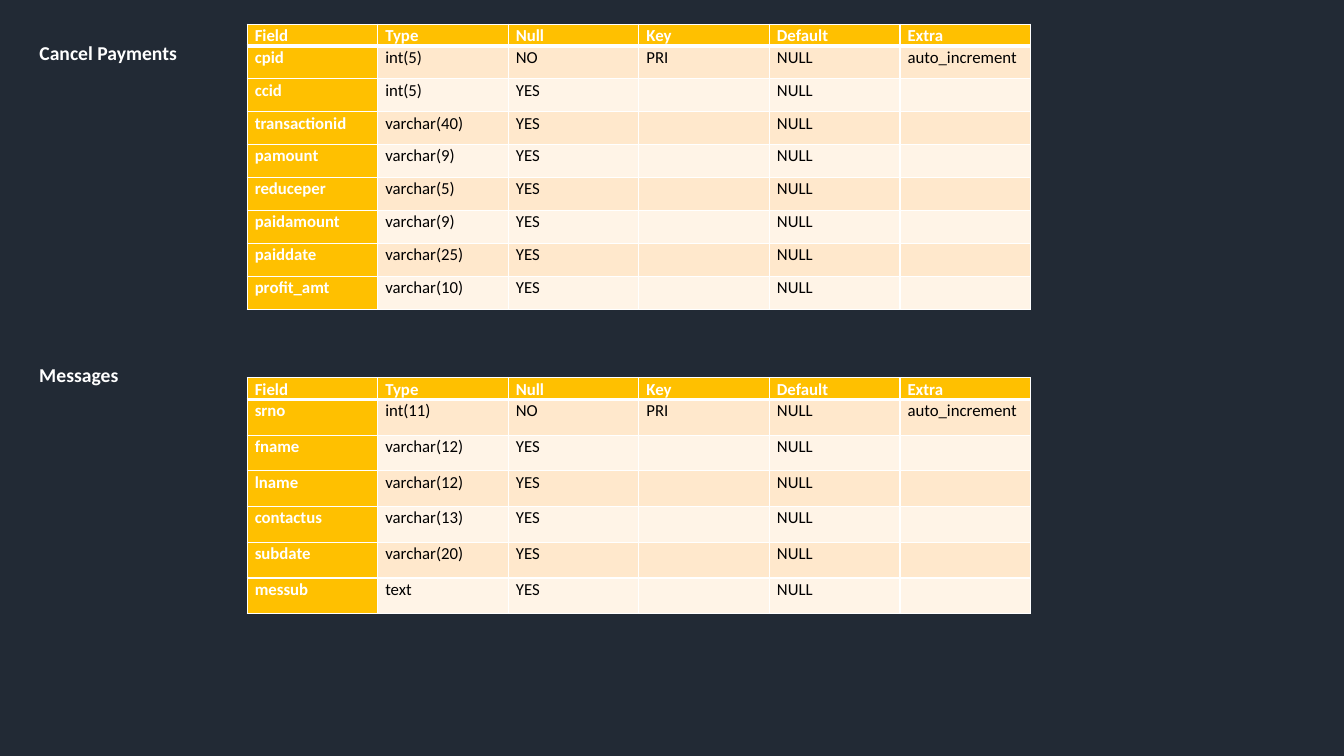
import lxml.etree
import pptx
import pptx.dml.color
import pptx.enum.text
import pptx.oxml.ns
import pptx.util

Cm = pptx.util.Cm
Pt = pptx.util.Pt
qn = pptx.oxml.ns.qn

FONT = "Calibri"
WHITE, BLACK, NAVY = "FFFFFF", "000000", "222A35"
AMBER, BAND_DARK, BAND_LIGHT = "FFC000", "FFE8CC", "FFF4E7"

HEADINGS = ["Field", "Type", "Null", "Key", "Default", "Extra"]
PAYMENT_FIELDS = [
    ("cpid", "int(5)"), ("ccid", "int(5)"), ("transactionid", "varchar(40)"),
    ("pamount", "varchar(9)"), ("reduceper", "varchar(5)"),
    ("paidamount", "varchar(9)"), ("paiddate", "varchar(25)"),
    ("profit_amt", "varchar(10)"),
]
MESSAGE_FIELDS = [
    ("srno", "int(11)"), ("fname", "varchar(12)"), ("lname", "varchar(12)"),
    ("contactus", "varchar(13)"), ("subdate", "varchar(20)"), ("messub", "text"),
]


def rgb(value):
    return pptx.dml.color.RGBColor.from_string(value)


def add_run(paragraph, text, size, color, bold):
    run = paragraph.add_run()
    run.text = text
    run.font.name = FONT
    run.font.size = Pt(size)
    run.font.bold = bold
    run.font.color.rgb = rgb(color)


def set_borders(cell, top, bottom):
    """Draw white cell borders; top and bottom are widths in points."""
    properties = cell._tc.get_or_add_tcPr()
    for side, width in (("L", 1), ("R", 1), ("T", top), ("B", bottom)):
        line = lxml.etree.SubElement(properties, qn(f"a:ln{side}"), w=str(Pt(width)))
        fill = lxml.etree.SubElement(line, qn("a:solidFill"))
        lxml.etree.SubElement(fill, qn("a:srgbClr"), val=WHITE)


def format_cell(cell, text, row, column):
    is_header = row == 0
    is_heading = is_header or column == 0
    set_borders(cell, top=3 if row == 1 else 1, bottom=3 if is_header else 1)
    cell.fill.solid()
    band = BAND_DARK if row % 2 else BAND_LIGHT
    cell.fill.fore_color.rgb = rgb(AMBER if is_heading else band)
    cell.margin_left = cell.margin_right = Cm(0.19)
    cell.margin_top = cell.margin_bottom = 0

    paragraph = cell.text_frame.paragraphs[0]
    paragraph.line_spacing = 1.07
    paragraph.space_after = Pt(8 if is_header else 9)
    if text:
        add_run(paragraph, text, 12, WHITE if is_heading else BLACK, is_heading)
    else:
        # Keep empty cells from stretching their row
        lxml.etree.SubElement(paragraph._p, qn("a:endParaRPr"), sz="1200")


def schema_rows(fields):
    """The first field is the primary key, the others are nullable."""
    key, *others = fields
    return [HEADINGS, [*key, "NO", "PRI", "NULL", "auto_increment"],
            *([*field, "YES", "", "NULL", ""] for field in others)]


def add_schema(slide, fields, top, header_height, row_height):
    rows = schema_rows(fields)
    schema = slide.shapes.add_table(
        len(rows), len(HEADINGS), Cm(6.23), Cm(top), Cm(19.74),
        Cm(header_height + row_height * len(fields))).table
    schema.first_col = True
    for column in schema.columns:
        column.width = Cm(3.29)
    for r, values in enumerate(rows):
        schema.rows[r].height = Cm(row_height if r else header_height)
        for c, text in enumerate(values):
            format_cell(schema.cell(r, c), text, r, c)


def write_label(label, text, top, anchor):
    label.left, label.top = Cm(0.74), Cm(top)
    label.width, label.height = Cm(4.56), Cm(0.86)
    frame = label.text_frame
    frame.word_wrap = True
    frame.auto_size = pptx.enum.text.MSO_AUTO_SIZE.SHAPE_TO_FIT_TEXT
    frame.vertical_anchor = anchor
    paragraph = frame.paragraphs[0]
    paragraph.alignment = pptx.enum.text.PP_ALIGN.LEFT
    add_run(paragraph, text, 14, WHITE, True)
    return paragraph


def main():
    deck = pptx.Presentation()
    deck.slide_width, deck.slide_height = Cm(33.87), Cm(19.05)
    slide = deck.slides.add_slide(deck.slide_layouts[5])
    slide.background.fill.solid()
    slide.background.fill.fore_color.rgb = rgb(NAVY)
    anchors = pptx.enum.text.MSO_ANCHOR

    # Cancel Payments
    write_label(slide.shapes.title, "Cancel Payments", 0.9, anchors.MIDDLE)
    add_schema(slide, PAYMENT_FIELDS, top=0.61, header_height=0.46, row_height=0.83)

    # Messages
    messages_label = slide.shapes.add_textbox(0, 0, Cm(4.56), Cm(0.86))
    messages = write_label(messages_label, "Messages", 8.99, anchors.TOP)
    messages.line_spacing = 1.07
    messages.space_after = Pt(8)
    add_schema(slide, MESSAGE_FIELDS, top=9.52, header_height=0.5, row_height=0.9)

    deck.save("out.pptx")


if __name__ == "__main__":
    main()
